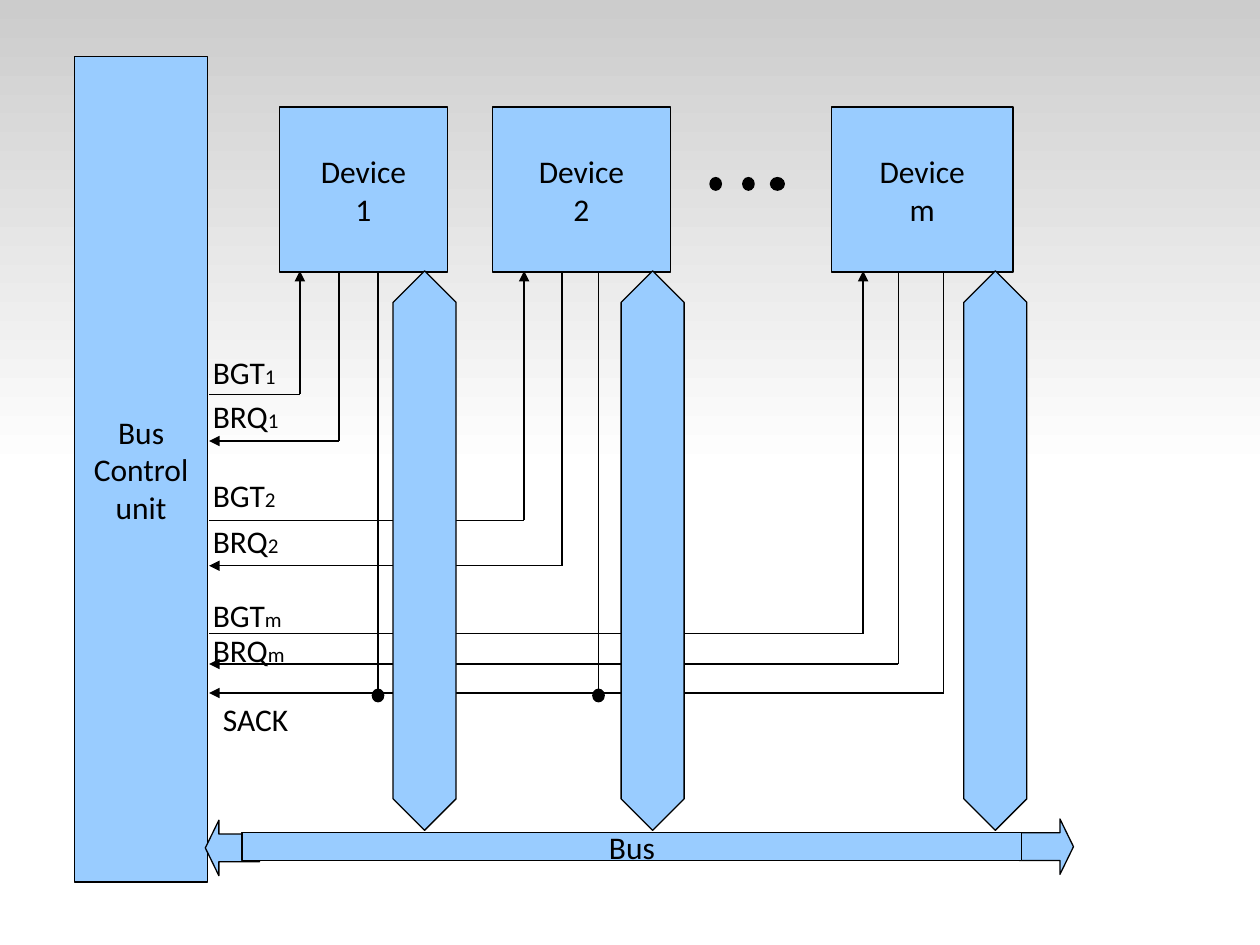
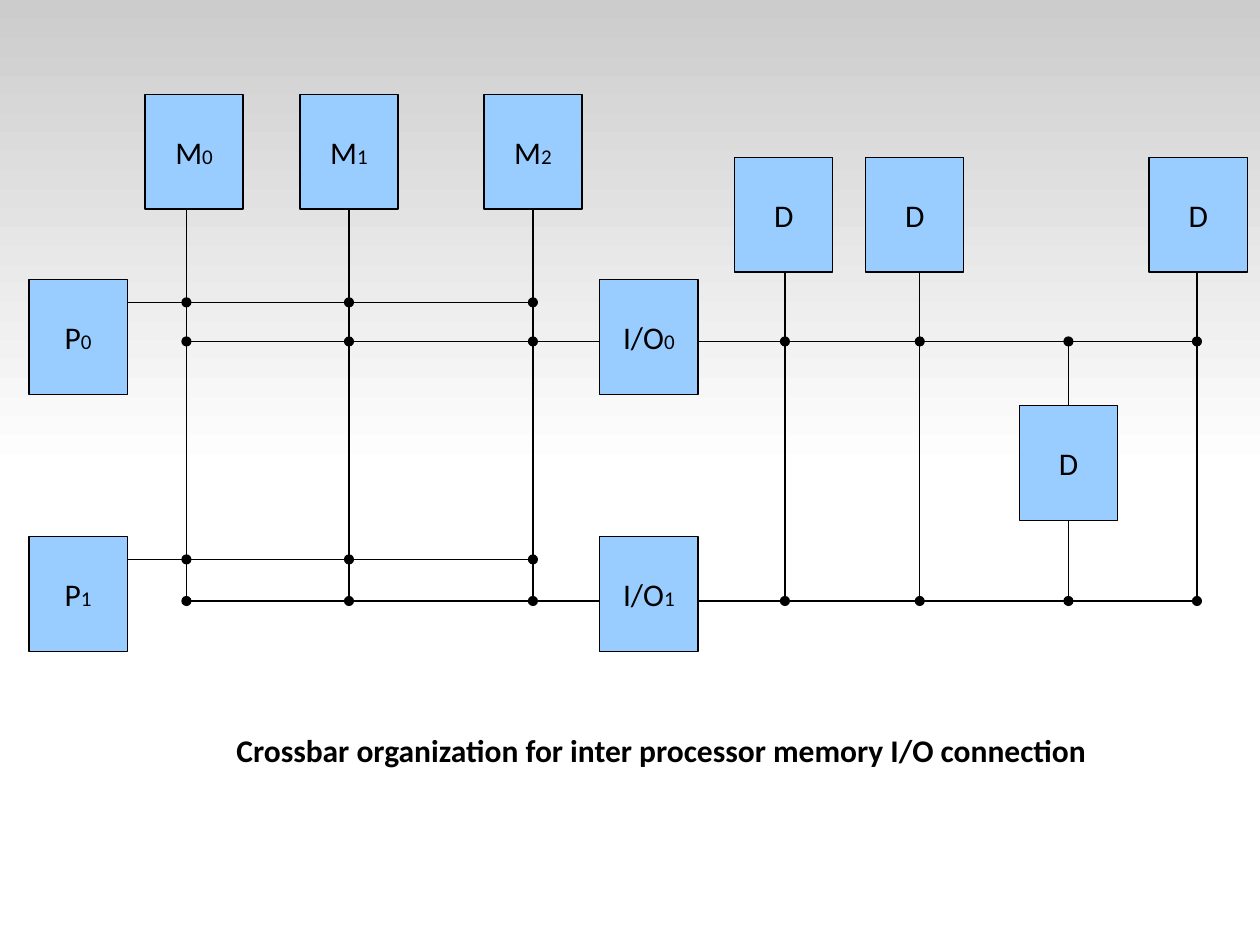
"""Build two diagram slides: bus arbitration lines and a crossbar organization."""
import itertools

import pptx
import pptx.dml.color
import pptx.enum.shapes
import pptx.enum.text
import pptx.oxml
import pptx.oxml.ns
import pptx.util
from pptx.util import Inches

COLOURS = {"ink": "000000", "block": "99CCFF", "band": "CCCCCC", "paper": "FFFFFF"}
FORMATS = {
    "main": {"name": "Calibri", "size": pptx.util.Pt(18)},
    "sub": {"name": "Calibri", "size": pptx.util.Pt(12)},
    "caption": {"name": "Calibri", "size": pptx.util.Pt(18), "bold": True},
}
LINE_WIDTH = pptx.util.Pt(0.75)
SHAPES = pptx.enum.shapes.MSO_SHAPE
ALIGN = pptx.enum.text.PP_ALIGN
ANCHOR = pptx.enum.text.MSO_ANCHOR


def rgb(name):
    return pptx.dml.color.RGBColor.from_string(COLOURS[name])


class Diagram:
    def __init__(self):
        self.deck = pptx.Presentation()
        self.deck.slide_width, self.deck.slide_height = Inches(10), Inches(7.5)
        self.page = None

    def new_page(self):
        self.page = self.deck.slides.add_slide(self.deck.slide_layouts[6])

    def add_master_band(self):
        band = self.shape(SHAPES.ROUNDED_RECTANGLE, 0, 0, 10, 3.75, adjustments=[0])
        band.line.fill.background()
        band.fill.gradient()
        band.fill.gradient_angle = 270
        for stop, name in zip(band.fill.gradient_stops, ("band", "paper")):
            stop.color.rgb = rgb(name)
        self.deck.slide_master.element.cSld.spTree.insert(2, band.element)

    def shape(self, kind, left, top, width, height, fill="block", adjustments=()):
        shape = self.page.shapes.add_shape(
            kind, Inches(left), Inches(top), Inches(width), Inches(height))
        shape.shadow.inherit = False
        shape.fill.solid()
        shape.fill.fore_color.rgb = rgb(fill)
        shape.line.color.rgb = rgb("ink")
        shape.line.width = LINE_WIDTH
        for index, value in enumerate(adjustments):
            shape.adjustments[index] = value
        return shape

    def set_text(self, frame, lines, style="main", align=ALIGN.CENTER):
        for index, line in enumerate(lines):
            para = frame.add_paragraph() if index else frame.paragraphs[0]
            para.alignment = align
            for words, look in zip(line.split("_"), (style, "sub")):
                span = para.add_run()
                span.text = words
                span.font.color.rgb = rgb("ink")
                for attribute, value in FORMATS[look].items():
                    setattr(span.font, attribute, value)

    def box(self, left, top, width, height, *lines):
        frame = self.shape(SHAPES.RECTANGLE, left, top, width, height).text_frame
        frame.word_wrap = False
        frame.vertical_anchor = ANCHOR.MIDDLE
        self.set_text(frame, lines)

    def label(self, left, top, width, words, style="main", align=ALIGN.LEFT):
        box = self.page.shapes.add_textbox(
            Inches(left), Inches(top), Inches(width), Inches(0.4))
        box.text_frame.word_wrap = True
        self.set_text(box.text_frame, [words], style, align)

    def dot(self, x, y, width, height):
        self.shape(SHAPES.OVAL, x - width / 2, y - height / 2, width, height, "ink")

    def line(self, x1, y1, x2, y2, arrow=False):
        line = self.page.shapes.add_connector(
            pptx.enum.shapes.MSO_CONNECTOR.STRAIGHT,
            Inches(x1), Inches(y1), Inches(x2), Inches(y2))
        line.line.color.rgb = rgb("ink")
        line.line.width = LINE_WIDTH
        properties = line.element.spPr
        if arrow:
            tail = pptx.oxml.parse_xml(
                f'<a:tailEnd {pptx.oxml.ns.nsdecls("a")} type="triangle"/>')
            properties.find(pptx.oxml.ns.qn("a:ln")).append(tail)
        properties.append(
            pptx.oxml.parse_xml(f'<a:effectLst {pptx.oxml.ns.nsdecls("a")}/>'))


def draw_bus_arbitration(diagram):
    control_edge, device_foot, sack_y = 1.66, 2.15, 5.5
    devices = [
        {"name": "1", "left": 2.22, "width": 1.33, "grant": (2.38, 3.13, 2.75),
         "request": (2.69, 3.5, 3.1), "sack": 3, "bus_arrow": 3.12},
        {"name": "2", "left": 3.91, "width": 1.41, "grant": (4.16, 4.13, 3.73),
         "request": (4.46, 4.49, 4.09), "sack": 4.75, "bus_arrow": 4.93},
        {"name": "m", "left": 6.6, "width": 1.44, "grant": (6.85, 5.03, 4.68),
         "request": (7.13, 5.27, 4.96), "sack": 7.49, "bus_arrow": 7.65},
    ]
    for device in devices:
        grant_x, grant_y, _ = device["grant"]
        request_x, request_y, _ = device["request"]
        diagram.line(control_edge, grant_y, grant_x, grant_y)
        diagram.line(grant_x, grant_y, grant_x, device_foot, arrow=True)
        diagram.line(request_x, device_foot, request_x, request_y)
        diagram.line(request_x, request_y, control_edge, request_y, arrow=True)
        diagram.line(device["sack"], device_foot, device["sack"], sack_y)
    diagram.line(devices[-1]["sack"], sack_y, control_edge, sack_y, arrow=True)

    diagram.box(0.59, 0.45, 1.06, 6.55, "Bus", "Control", "unit")
    diagram.shape(SHAPES.LEFT_ARROW, 1.63, 6.51, 0.43, 0.44, adjustments=[0.5, 0.25])
    diagram.shape(SHAPES.RIGHT_ARROW, 8.09, 6.5, 0.43, 0.44, adjustments=[0.5, 0.25])
    diagram.box(1.92, 6.61, 6.19, 0.22, "Bus")
    for device in devices:
        diagram.box(device["left"], 0.85, device["width"], 1.31, "Device", device["name"])
        diagram.shape(SHAPES.UP_DOWN_ARROW, device["bus_arrow"], device_foot,
                      0.5, 4.44, adjustments=[0.5, 1.77])
        for signal, key in (("BGT", "grant"), ("BRQ", "request")):
            diagram.label(1.59, device[key][2], 1.25, f"{signal}_{device['name']}")
    diagram.label(1.67, 5.51, 1.25, "SACK")
    for x, width in ((5.68, 0.09), (5.94, 0.09), (6.17, 0.11)):
        diagram.dot(x, 1.46, width, 0.1)
    for device in devices[:-1]:
        diagram.dot(device["sack"], sack_y + 0.02, 0.09, 0.1)


def draw_crossbar(diagram):
    width, height, dot_size = 0.78, 0.91, 0.07
    memory_columns = (1.48, 2.77, 4.23)
    device_columns = (6.23, 7.3, 8.48, 9.5)
    processor_rows, io_rows = (2.4, 4.44), (2.71, 4.77)
    processor_left, io_left = 0.23, 4.76

    for y in processor_rows:
        diagram.line(processor_left + width, y, memory_columns[-1], y)
    for y in io_rows:
        diagram.line(memory_columns[0], y, io_left, y)
        diagram.line(io_left + width, y, device_columns[-1], y)
    for x in memory_columns:
        diagram.line(x, 1.66, x, io_rows[1])
    for x, top in zip(device_columns, (2.16, 2.16, io_rows[0], 2.16)):
        diagram.line(x, top, x, io_rows[1])

    for index, left in enumerate((1.15, 2.38, 3.84)):
        diagram.box(left, 0.75, width, height, f"M_{index}")
    for index, top in enumerate((2.22, 4.26)):
        diagram.box(processor_left, top, width, height, f"P_{index}")
        diagram.box(io_left, top, width, height, f"I/O_{index}")
    for left, top in ((5.83, 1.25), (6.87, 1.25), (8.09, 3.22), (9.12, 1.25)):
        diagram.box(left, top, width, height, "D")

    crossings = itertools.chain(
        itertools.product(memory_columns, processor_rows + io_rows),
        itertools.product(device_columns, io_rows))
    for x, y in crossings:
        diagram.dot(x, y, dot_size, dot_size)
    diagram.label(0.5, 5.75, 9.5,
                  "Crossbar organization for inter processor memory I/O connection",
                  "caption", ALIGN.CENTER)


def main():
    diagram = Diagram()
    diagram.new_page()
    diagram.add_master_band()
    draw_bus_arbitration(diagram)
    diagram.new_page()
    draw_crossbar(diagram)
    diagram.deck.save("out.pptx")


if __name__ == "__main__":
    main()
